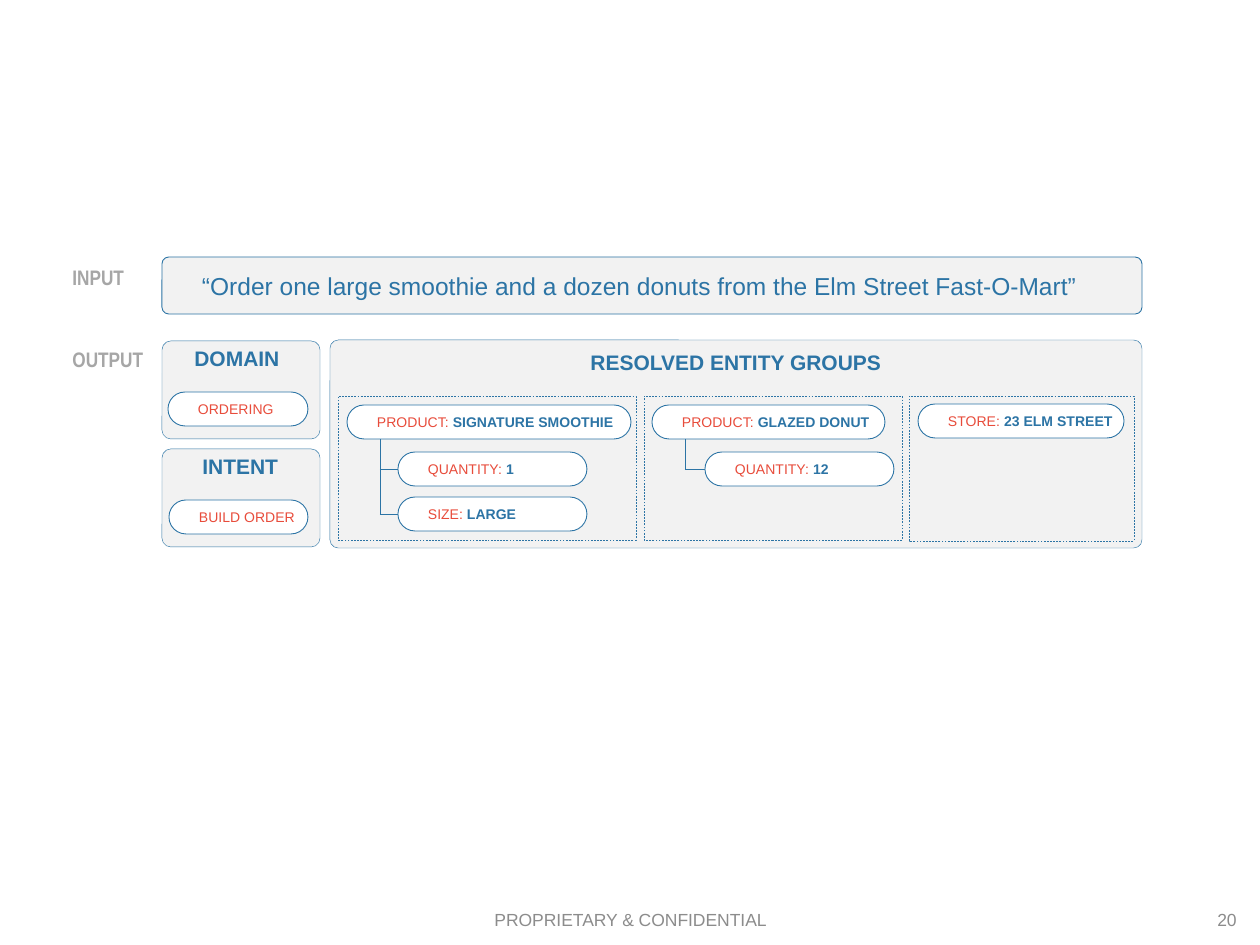
from pptx import Presentation
from pptx.dml.color import RGBColor
from pptx.enum.dml import MSO_LINE
from pptx.enum.shapes import MSO_CONNECTOR, MSO_SHAPE
from pptx.enum.text import MSO_ANCHOR, MSO_AUTO_SIZE, PP_ALIGN
from pptx.oxml.ns import qn
from pptx.util import Emu, Pt

ROUNDED = MSO_SHAPE.ROUNDED_RECTANGLE
RECTANGLE = MSO_SHAPE.RECTANGLE
STRAIGHT = MSO_CONNECTOR.STRAIGHT
DASH = MSO_LINE.DASH
MIDDLE, TOP = MSO_ANCHOR.MIDDLE, MSO_ANCHOR.TOP
LEFT, CENTER, RIGHT = PP_ALIGN.LEFT, PP_ALIGN.CENTER, PP_ALIGN.RIGHT
FIT_TEXT = MSO_AUTO_SIZE.SHAPE_TO_FIT_TEXT

BLUE, RED, PANEL, WHITE = "2C74A5", "E84C3B", "F2F2F2", "FFFFFF"
LABEL_GRAY, FOOTER_GRAY = "A6A6A6", "8C8C8C"
PILL_HEIGHT = 34


def px(value):
    return Emu(round(value * 914400 / 126))


def color(value):
    return RGBColor.from_string(value)


class Diagram:
    """Draws styled panels, pills, branches and labels on one page."""

    def __init__(self, page):
        self.page = page

    def span(self, para, text, size, ink, bold=False, font="Arial"):
        run = para.add_run()
        run.text = text
        run.font.name = font
        run.font.size = Pt(size)
        run.font.bold = bold
        run.font.color.rgb = color(ink)

    def outline(self, kind, bounds, fill=None, width=0.25, corner=None):
        box = self.page.shapes.add_shape(kind, *map(px, bounds))
        box.shadow.inherit = False
        if fill:
            box.fill.solid()
            box.fill.fore_color.rgb = color(fill)
        else:
            box.fill.background()
        box.line.color.rgb = color(BLUE)
        box.line.width = Pt(width)
        if corner is not None:
            box.adjustments[0] = corner
        return box

    def panel(self, bounds, corner, width=0.25):
        return self.outline(ROUNDED, bounds, PANEL, width, corner)

    def group(self, bounds):
        self.outline(RECTANGLE, bounds).line.dash_style = DASH

    def inner_para(self, box, left, right):
        frame = box.text_frame
        frame.word_wrap = True
        frame.vertical_anchor = MIDDLE
        frame.margin_left, frame.margin_right = px(left), px(right)
        para = frame.paragraphs[0]
        para.alignment = LEFT
        para.space_after = Pt(6)
        return para

    def utterance(self, bounds, text):
        para = self.inner_para(self.panel(bounds, 0.12, 0.5), 38, 13)
        self.span(para, text, 14, BLUE)

    def pill(self, left, top, width, name, value=None):
        bounds = (left, top, width, PILL_HEIGHT)
        box = self.outline(ROUNDED, bounds, WHITE, 0.5, 0.5)
        para = self.inner_para(box, 25, 5)
        self.span(para, name, 8, RED)
        if value:
            self.span(para, value, 8, BLUE, bold=True)

    def line(self, *ends):
        link = self.page.shapes.add_connector(STRAIGHT, *map(px, ends))
        link.line.color.rgb = color(BLUE)
        link.line.width = Pt(0.5)
        properties = link._element.spPr
        properties.append(properties.makeelement(qn("a:effectLst"), {}))

    def branch(self, left, top, levels):
        self.line(left, top, left, levels[-1])
        for level in levels:
            self.line(left, level, left + 25, level)

    def text_box(self, bounds, align, anchor, wrap):
        box = self.page.shapes.add_textbox(*map(px, bounds))
        frame = box.text_frame
        frame.word_wrap = wrap
        frame.vertical_anchor = anchor
        para = frame.paragraphs[0]
        para.alignment = align
        return frame, para

    def label(self, left, top, width, text, ink=BLUE, font="Arial"):
        frame, para = self.text_box((left, top, width, 38), LEFT, TOP, False)
        frame.auto_size = FIT_TEXT
        self.span(para, text, 12, ink, True, font)

    def footer(self, left, width, text, align):
        para = self.text_box((left, 895, width, 50), align, MIDDLE, True)[1]
        self.span(para, text, 10, FOOTER_GRAY)


def main():
    deck = Presentation()
    deck.slide_width, deck.slide_height = px(1260), px(945)
    diagram = Diagram(deck.slides.add_slide(deck.slide_layouts[6]))

    diagram.footer(431, 399, "PROPRIETARY & CONFIDENTIAL", CENTER)
    diagram.footer(955, 294, "20", RIGHT)

    diagram.label(60, 258, 78, "INPUT", LABEL_GRAY, "Arial Narrow")
    diagram.label(60, 340, 97, "OUTPUT", LABEL_GRAY, "Arial Narrow")
    diagram.utterance(
        (162, 257, 980, 57),
        "“Order one large smoothie and a dozen donuts from the Elm Street Fast-O-Mart”",
    )

    for top, title, left, width, pill_left, value in (
        (341, "DOMAIN", 182, 111, 168, "ORDERING"),
        (449, "INTENT", 190, 102, 169, "BUILD ORDER"),
    ):
        diagram.panel((162, top, 158, 98), 0.09)
        diagram.pill(pill_left, top + 51, 308 - pill_left, value)
        diagram.label(left, top - 2, width, title)

    diagram.panel((330, 340, 812, 208), 0.04)
    diagram.label(578, 343, 320, "RESOLVED ENTITY GROUPS")
    for bounds in (
        (338, 396, 298, 144), (644, 396, 258, 144), (909, 396, 225, 145),
    ):
        diagram.group(bounds)

    diagram.branch(380, 438, (469, 514))
    diagram.branch(685, 438, (469,))
    for left, top, width, name, value in (
        (347, 405, 284, "PRODUCT: ", "SIGNATURE SMOOTHIE"),
        (398, 452, 189, "QUANTITY: ", "1"),
        (398, 497, 189, "SIZE: ", "LARGE"),
        (652, 405, 233, "PRODUCT: ", "GLAZED DONUT"),
        (705, 452, 189, "QUANTITY: ", "12"),
        (918, 404, 206, "STORE: ", "23 ELM STREET"),
    ):
        diagram.pill(left, top, width, name, value)

    deck.save("out.pptx")


if __name__ == "__main__":
    main()
